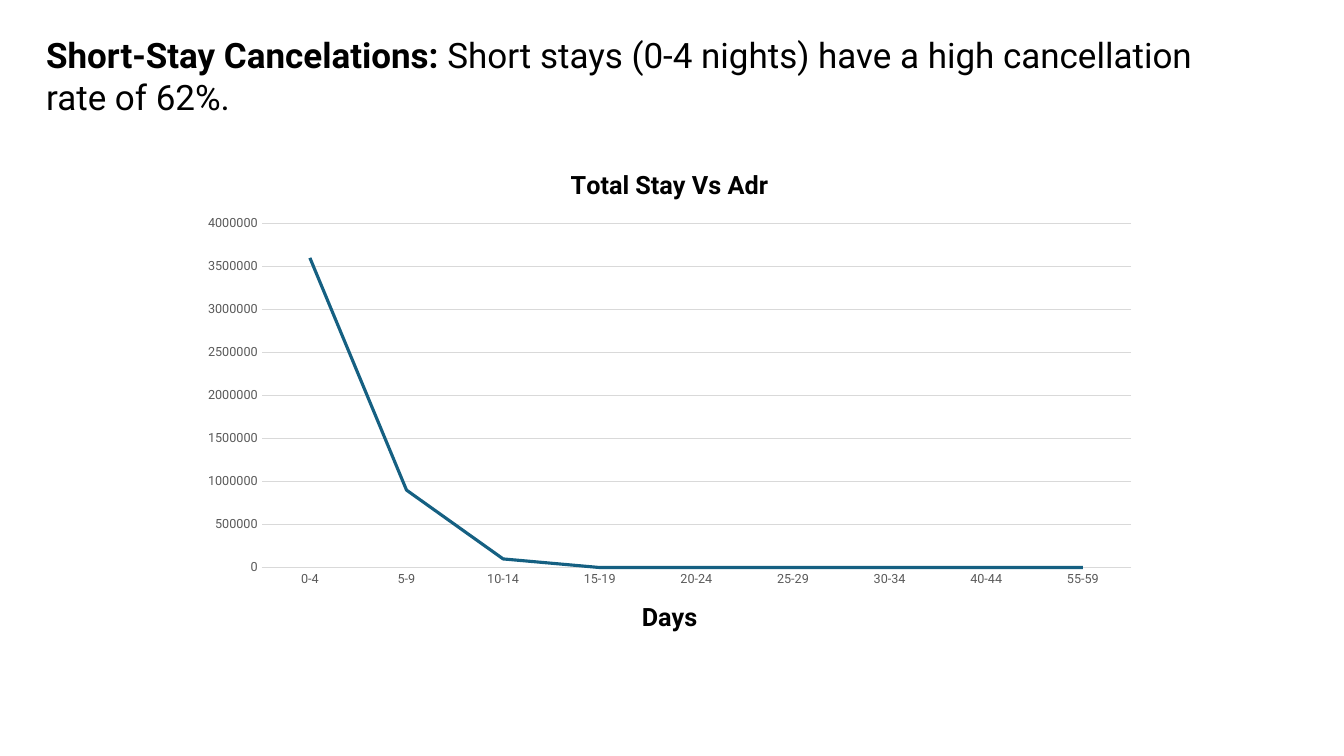
from dataclasses import dataclass

from lxml import etree
from pptx import Presentation
from pptx.chart.data import CategoryChartData as ChartData
from pptx.dml.color import RGBColor as RGB
from pptx.enum.chart import XL_CHART_TYPE as Kind, XL_TICK_MARK as Tick
from pptx.oxml.ns import qn
from pptx.util import Inches, Pt


@dataclass
class Theme:
    font: str = "Roboto"
    ink: RGB = RGB(0x00, 0x00, 0x00)
    label: RGB = RGB(0x59, 0x59, 0x59)
    grid: RGB = RGB(0xD9, 0xD9, 0xD9)
    line: RGB = RGB(0x15, 0x60, 0x82)
    head: Pt = Pt(25)
    title: Pt = Pt(18)
    tick: Pt = Pt(9)


theme = Theme()


def style(font, size, color, bold=False):
    font.name = theme.font
    font.size = size
    font.color.rgb = color
    font.bold = bold


def place(node, index, **parts):
    """Give a chart part a fixed place, in fractions of the chart."""
    old = node.find(qn("c:layout"))
    if old is not None:
        node.remove(old)
    layout = etree.Element(qn("c:layout"))
    manual = etree.SubElement(layout, qn("c:manualLayout"))
    for tag, val in parts.items():
        etree.SubElement(manual, qn(f"c:{tag}")).set("val", str(val))
    node.insert(index, layout)


deck = Presentation()
deck.slide_width = Inches(13.33)
deck.slide_height = Inches(7.5)
slide = deck.slides.add_slide(deck.slide_layouts[6])

# Headline
box = slide.shapes.add_textbox(Inches(0.36), Inches(0.28), Inches(11.96), Inches(0.94))
box.text_frame.word_wrap = True
para = box.text_frame.paragraphs[0]
for text, bold in (
    ("Short-Stay Cancelations: ", True),
    ("Short stays (0-4 nights) have a high cancellation rate of 62%.", False),
):
    run = para.add_run()
    run.text = text
    style(run.font, theme.head, theme.ink, bold)

# Line chart
data = ChartData()
data.categories = ["0-4", "5-9", "10-14", "15-19", "20-24",
                   "25-29", "30-34", "40-44", "55-59"]
data.add_series("Series 1", [3600000, 900000, 100000, 0, 0, 0, 0, 0, 0])
chart = slide.shapes.add_chart(
    Kind.LINE, Inches(1.88), Inches(1.5), Inches(9.53), Inches(5.02), data
).chart
chart.has_legend = False
style(chart.font, Pt(10), theme.ink)
place(chart.plots[0]._element.getparent(), 0, layoutTarget="inner",
      xMode="edge", yMode="edge", x=0.075, y=0.143, w=0.905, h=0.68)

series = chart.plots[0].series[0]
series.smooth = False
series.format.line.color.rgb = theme.line
series.format.line.width = Pt(2.25)
chart.plots[0].vary_by_categories = False

# Axes
days, total = chart.category_axis, chart.value_axis
for axis in (days, total):
    axis.major_tick_mark = axis.minor_tick_mark = Tick.NONE
    style(axis.tick_labels.font, theme.tick, theme.label)
total.minimum_scale, total.maximum_scale, total.major_unit = 0, 4000000, 500000
total.tick_labels.number_format = "General"
total.tick_labels.number_format_is_linked = False
total.format.line.fill.background()
for line in (days.format.line, total.major_gridlines.format.line):
    line.color.rgb = theme.grid
    line.width = Pt(0.75)

# Titles
for title, text, x, y in (
    (chart.chart_title, "Total Stay Vs Adr", 0.392, 0.024),
    (days.axis_title, "Days", 0.466, 0.878),
):
    title.text_frame.text = text
    style(title.text_frame.paragraphs[0].runs[0].font, theme.title, theme.ink, True)
    place(title._element, 1, xMode="edge", yMode="edge", x=x, y=y)

deck.save("out.pptx")
